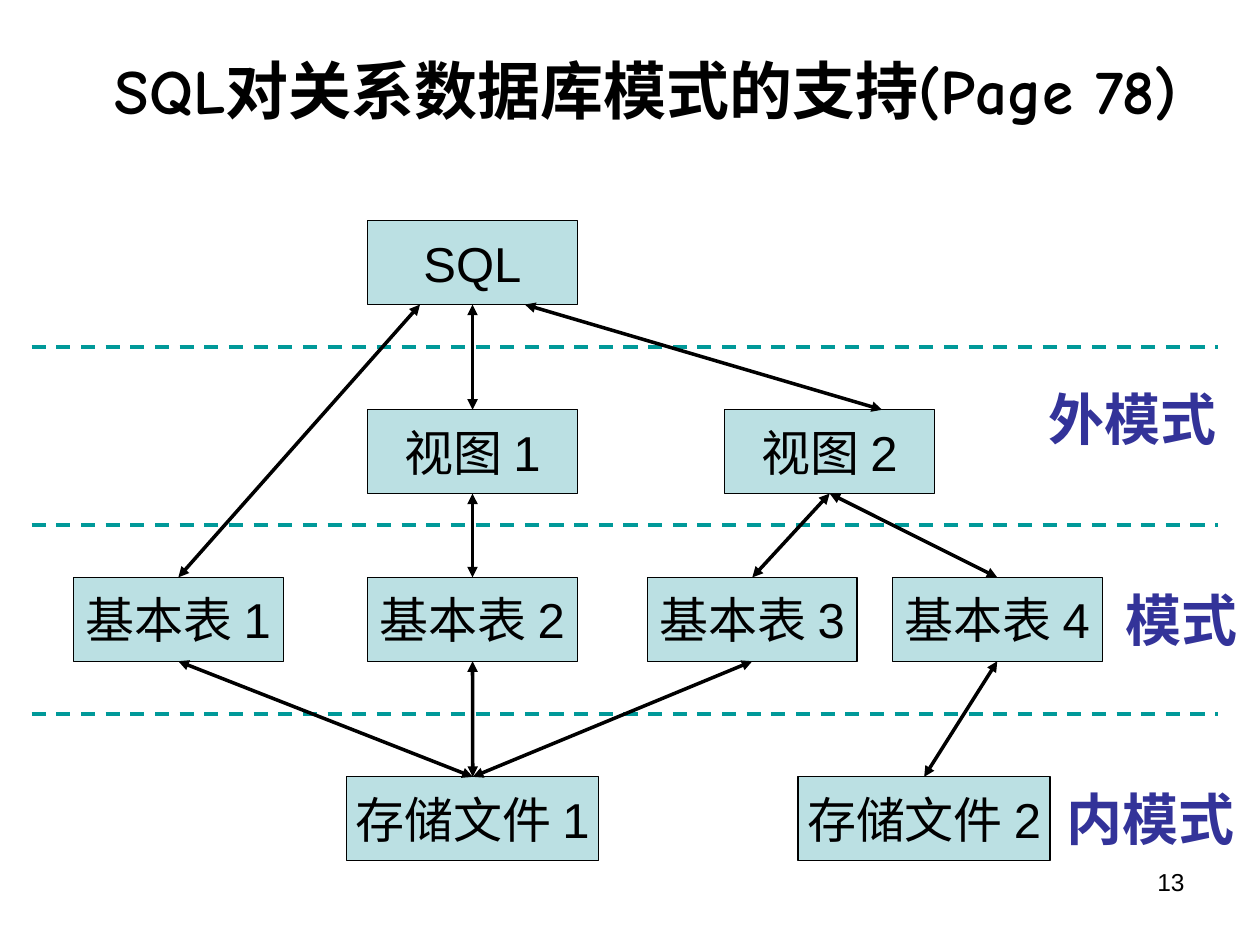
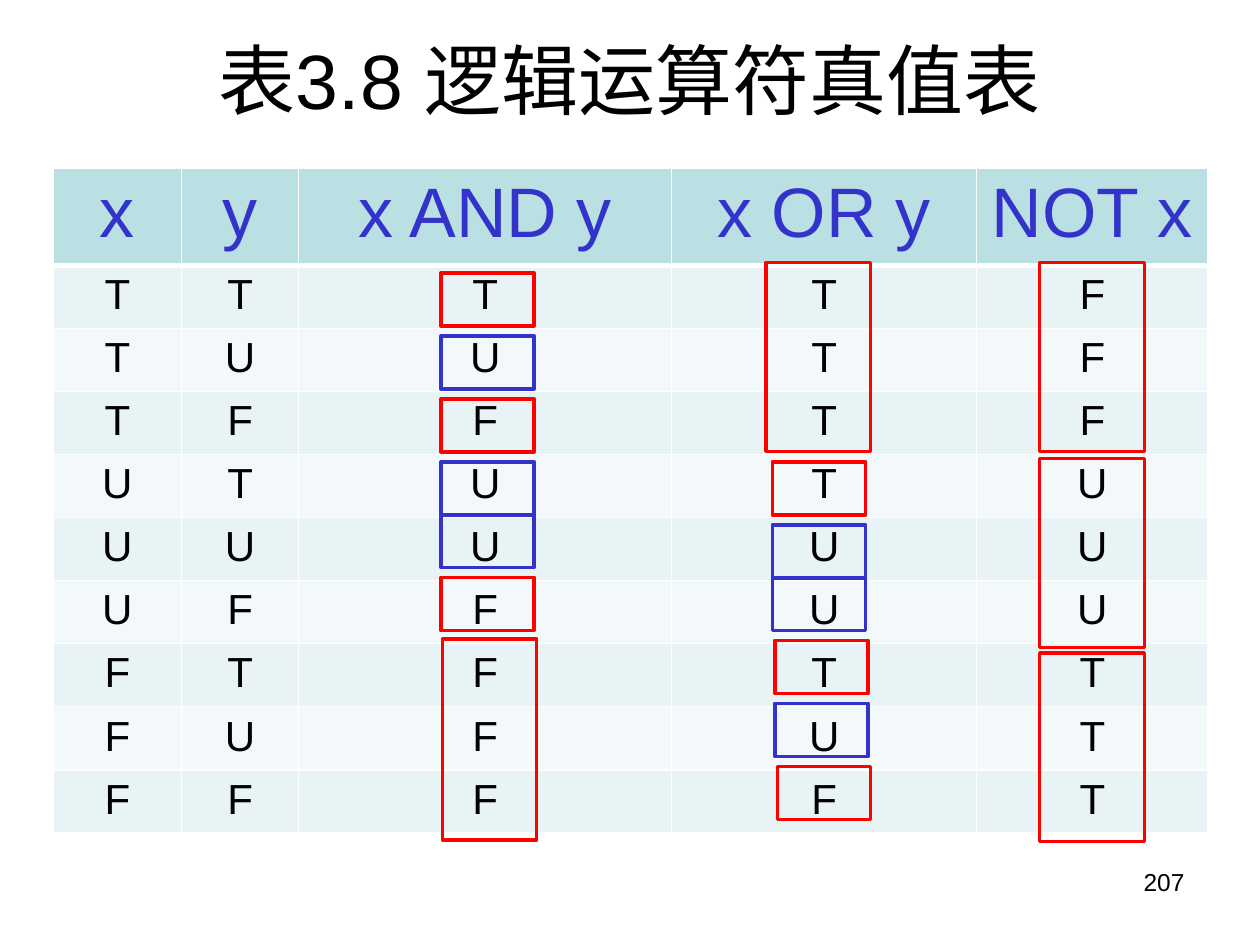
from lxml import etree
from pptx import Presentation
from pptx.dml.color import RGBColor
from pptx.enum.dml import MSO_LINE
from pptx.enum.lang import MSO_LANGUAGE_ID
from pptx.enum.shapes import MSO_CONNECTOR, MSO_SHAPE
from pptx.enum.text import MSO_ANCHOR, PP_ALIGN
from pptx.oxml.ns import qn
from pptx.util import Cm, Pt

LEFT, CENTER, RIGHT = PP_ALIGN.LEFT, PP_ALIGN.CENTER, PP_ALIGN.RIGHT
TOP, MIDDLE = MSO_ANCHOR.TOP, MSO_ANCHOR.MIDDLE
STRAIGHT, RECTANGLE, DASH = MSO_CONNECTOR.STRAIGHT, MSO_SHAPE.RECTANGLE, MSO_LINE.DASH
CHINESE = MSO_LANGUAGE_ID.SIMPLIFIED_CHINESE
BLACK, WHITE, RED, BLUE = "000000", "FFFFFF", "FF0000", "3333CC"
NAVY, TEAL, PALE = "333399", "009999", "BBE0E3"
BANDS = ["E7F3F4", "F3F9FA"]
paint = RGBColor.from_string


def write_text(holder, text, size, name="Arial", color=BLACK, bold=False,
               align=CENTER, anchor=MIDDLE, wrap=True):
    frame = holder.text_frame
    frame.word_wrap = wrap
    holder_anchor = frame if hasattr(frame, "vertical_anchor") else holder
    holder_anchor.vertical_anchor = anchor
    para = frame.paragraphs[0]
    para.alignment = align
    span = para.add_run()
    span.text = text
    span.font.size = Pt(size)
    span.font.name = name
    span.font.bold = bold
    span.font.color.rgb = paint(color)
    span.font.language_id = CHINESE


def add_box(page, left, top, width, height, line_color, line_width, fill=None):
    box = page.shapes.add_shape(RECTANGLE, Cm(left), Cm(top), Cm(width), Cm(height))
    box.shadow.inherit = False
    if fill:
        box.fill.solid()
        box.fill.fore_color.rgb = paint(fill)
    else:
        box.fill.background()
    box.line.color.rgb = paint(line_color)
    box.line.width = Pt(line_width)
    return box


deck = Presentation()
deck.slide_width, deck.slide_height = Cm(25.4), Cm(19.05)

pages = []
for title, left, width, title_format, top, number in [
    ("SQL对关系数据库模式的支持(Page 78)", 0.64, 24.76,
     dict(size=36, name="Comic Neue", bold=True), 0.21, "13"),
    ("表3.8 逻辑运算符真值表", 1.27, 22.86, dict(size=44), 0, "207"),
]:
    page = deck.slides.add_slide(deck.slide_layouts[6])
    title_box = page.shapes.add_textbox(Cm(left), Cm(top), Cm(width), Cm(3.18))
    write_text(title_box, title, **title_format)
    number_box = page.shapes.add_textbox(Cm(18.2), Cm(17.36), Cm(5.93), Cm(1.32))
    write_text(number_box, number, 14, align=RIGHT, anchor=TOP)
    pages.append(page)
schema_page, truth_page = pages

node_height = 1.69
nodes = {
    "基本表 1": (1.48, 11.64, 4.23),
    "基本表 2": (7.41, 11.64, 4.23),
    "基本表 3": (13.05, 11.64, 4.23),
    "基本表 4": (17.99, 11.64, 4.23),
    "存储文件 1": (6.99, 15.66, 5.08),
    "存储文件 2": (16.09, 15.66, 5.08),
    "视图 1": (7.41, 8.26, 4.23),
    "视图 2": (14.61, 8.26, 4.23),
    "SQL": (7.41, 4.45, 4.23),
}
for text, (left, top, width) in nodes.items():
    node = add_box(schema_page, left, top, width, node_height, BLACK, 0.75, PALE)
    write_text(node, text, 28, wrap=False)

lines = [(0.64, y, 24.56, y, TEAL) for y in (6.99, 10.58, 14.39)]
for upper, upper_share, lower, lower_share in [
    ("SQL", 0.5, "视图 1", 0.5),
    ("SQL", 0.25, "基本表 1", 0.5),
    ("SQL", 0.75, "视图 2", 0.75),
    ("视图 1", 0.5, "基本表 2", 0.5),
    ("基本表 2", 0.5, "存储文件 1", 0.5),
    ("基本表 1", 0.5, "存储文件 1", 0.5),
    ("基本表 3", 0.5, "存储文件 1", 0.5),
    ("基本表 4", 0.5, "存储文件 2", 0.5),
    ("视图 2", 0.5, "基本表 3", 0.5),
    ("视图 2", 0.5, "基本表 4", 0.5),
]:
    upper_left, upper_top, upper_width = nodes[upper]
    lower_left, lower_top, lower_width = nodes[lower]
    lines.append((upper_left + upper_share * upper_width, upper_top + node_height,
                  lower_left + lower_share * lower_width, lower_top, BLACK))

for x1, y1, x2, y2, color in lines:
    line = schema_page.shapes.add_connector(STRAIGHT, Cm(x1), Cm(y1), Cm(x2), Cm(y2))
    line.line.color.rgb = paint(color)
    line.line.width = Pt(2)
    if color == TEAL:
        line.line.dash_style = DASH
    else:
        for end in ("a:headEnd", "a:tailEnd"):
            etree.SubElement(line.line._get_or_add_ln(), qn(end), type="triangle")
    etree.SubElement(line._element.spPr, qn("a:effectLst"))

for text, left, top, width, align in [
    ("外模式", 19.89, 7.62, 4.88, RIGHT),
    ("模式", 22.02, 11.68, 3.18, RIGHT),
    ("内模式", 21.26, 15.7, 4.01, LEFT),
]:
    label = schema_page.shapes.add_textbox(Cm(left), Cm(top), Cm(width), Cm(1.6))
    write_text(label, text, 32, name="Times New Roman", color=NAVY, bold=True,
               align=align, anchor=TOP)

truth_rows = [["x", "y", "x AND y", "x OR y", "NOT x"]] + [
    list(values) for values in (
        "TTTTF", "TUUTF", "TFFTF", "UTUTU", "UUUUU", "UFFUU", "FTFTT", "FUFUT", "FFFFT")
]
column_widths = [2.59, 2.36, 7.52, 6.15, 4.66]
row_heights = [1.96] + [1.27] * 9
table = truth_page.shapes.add_table(
    len(truth_rows), len(column_widths), Cm(1.07), Cm(3.39),
    Cm(sum(column_widths)), Cm(sum(row_heights))).table
for column, width in zip(table.columns, column_widths):
    column.width = Cm(width)
for row_index, (values, height) in enumerate(zip(truth_rows, row_heights)):
    table.rows[row_index].height = Cm(height)
    header = row_index == 0
    for column_index, value in enumerate(values):
        cell = table.cell(row_index, column_index)
        write_text(cell, value, 40 if header else 24,
                   color=BLUE if header else BLACK, anchor=TOP)
        cell.fill.solid()
        cell.fill.fore_color.rgb = paint(PALE if header else BANDS[(row_index - 1) % 2])
        properties = cell._tc.get_or_add_tcPr()
        thick_side = {0: "lnB", 1: "lnT"}.get(row_index)
        for position, side in enumerate(("lnL", "lnR", "lnT", "lnB")):
            border = etree.Element(qn("a:" + side), w=str(Pt(3 if side == thick_side else 1)))
            border_fill = etree.SubElement(border, qn("a:solidFill"))
            etree.SubElement(border_fill, qn("a:srgbClr"), val=WHITE)
            properties.insert(position, border)

and_left, or_left, not_left = 8.89, 15.57, 20.96
for left, top, width, height in [
    (not_left, 5.29, 2.11, 3.81),
    (8.92, 12.88, 1.9, 4.06),
    (not_left, 9.24, 2.11, 3.81),
    (not_left, 13.16, 2.11, 3.81),
    (15.44, 5.29, 2.11, 3.81),
]:
    add_box(truth_page, left, top, width, height, RED, 2)
for left, top, color in [
    (and_left, 8.04, RED),
    (and_left, 11.64, RED),
    (or_left, 9.31, RED),
    (or_left + 0.05, 12.91, RED),
    (or_left + 0.1, 15.45, RED),
    (and_left, 5.5, RED),
    (and_left, 6.77, BLUE),
    (and_left, 9.31, BLUE),
    (and_left, 10.37, BLUE),
    (or_left, 10.58, BLUE),
    (or_left, 11.64, BLUE),
    (or_left + 0.05, 14.18, BLUE),
]:
    add_box(truth_page, left, top, 1.88, 1.07, color, 2)

deck.save("out.pptx")
